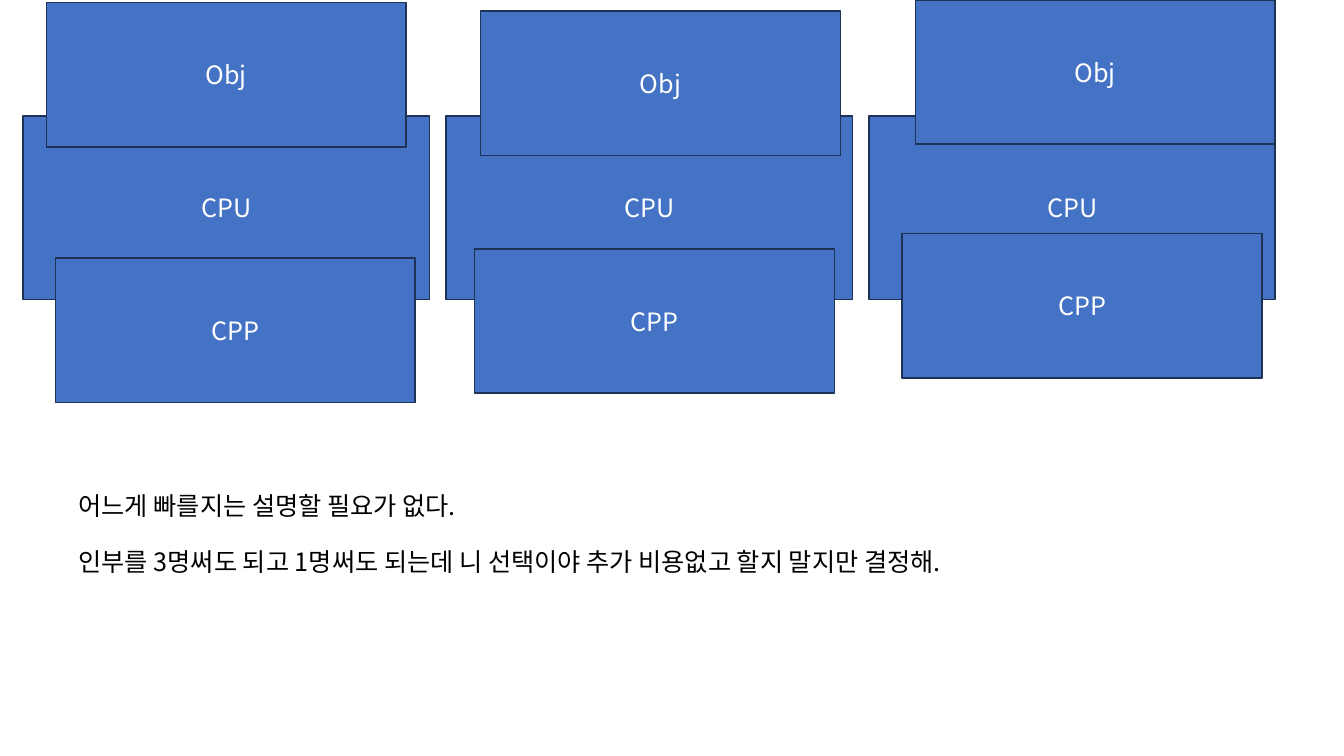
from lxml import etree
from pptx import Presentation
from pptx.dml.color import RGBColor
from pptx.enum import shapes, text
from pptx.oxml import ns
from pptx.util import Pt

FONT = "Noto Sans CJK KR"
BLUE = RGBColor(0x44, 0x72, 0xC4)
NAVY = RGBColor(0x1E, 0x32, 0x56)
WHITE = RGBColor(0xFF, 0xFF, 0xFF)
BLACK = RGBColor(0, 0, 0)

CPU_SIZE = (290.2, 131)
CPU_LEFT, CPU_TOP, CPU_PITCH = 16.5, 82.8, 302.1
PART_SIZE = (257, 103)
CPP_SPOTS = [(39.6, 184.4), (339.1, 177.8), (644.4, 167)]
OBJ_SPOTS = [(33.1, 2), (343.4, 8), (653.8, 0)]
NOTES = [
    "어느게 빠를지는 설명할 필요가 없다.",
    "인부를 3명써도 되고 1명써도 되는데 니 선택이야 추가 비용없고 할지 말지만 결정해.",
]


def add_run(p, content, color):
    r = p.add_run()
    r.text = content
    r.font.size = Pt(18)
    r.font.name = FONT
    r.font.color.rgb = color
    ea = etree.SubElement(r.font._element, ns.qn("a:ea"))
    ea.set("typeface", FONT)


def add_box(slide, label, spot, size):
    sp = slide.shapes.add_shape(
        shapes.MSO_SHAPE.RECTANGLE, *(Pt(v) for v in (*spot, *size)))
    sp.shadow.inherit = False
    sp.fill.solid()
    sp.fill.fore_color.rgb = BLUE
    sp.line.color.rgb = NAVY
    sp.line.width = Pt(1)
    tf = sp.text_frame
    tf.vertical_anchor = text.MSO_ANCHOR.MIDDLE
    p = tf.paragraphs[0]
    p.alignment = text.PP_ALIGN.CENTER
    add_run(p, label, WHITE)


def add_notes(slide):
    box = slide.shapes.add_textbox(Pt(49), Pt(347), Pt(705), Pt(72.7))
    tf = box.text_frame
    tf.word_wrap = False
    for i, note in enumerate(NOTES):
        p = tf.add_paragraph() if i else tf.paragraphs[0]
        if i:
            p.space_before = Pt(18)
        add_run(p, note, BLACK)


def main():
    prs = Presentation()
    prs.slide_width, prs.slide_height = Pt(960), Pt(540)
    slide = prs.slides.add_slide(prs.slide_layouts[6])
    for i in range(3):
        add_box(slide, "CPU", (CPU_LEFT + i * CPU_PITCH, CPU_TOP), CPU_SIZE)
    for spot in CPP_SPOTS:
        add_box(slide, "CPP", spot, PART_SIZE)
    add_box(slide, "Obj", OBJ_SPOTS[0], PART_SIZE)
    add_notes(slide)
    for spot in OBJ_SPOTS[1:]:
        add_box(slide, "Obj", spot, PART_SIZE)
    prs.save("out.pptx")


if __name__ == "__main__":
    main()
